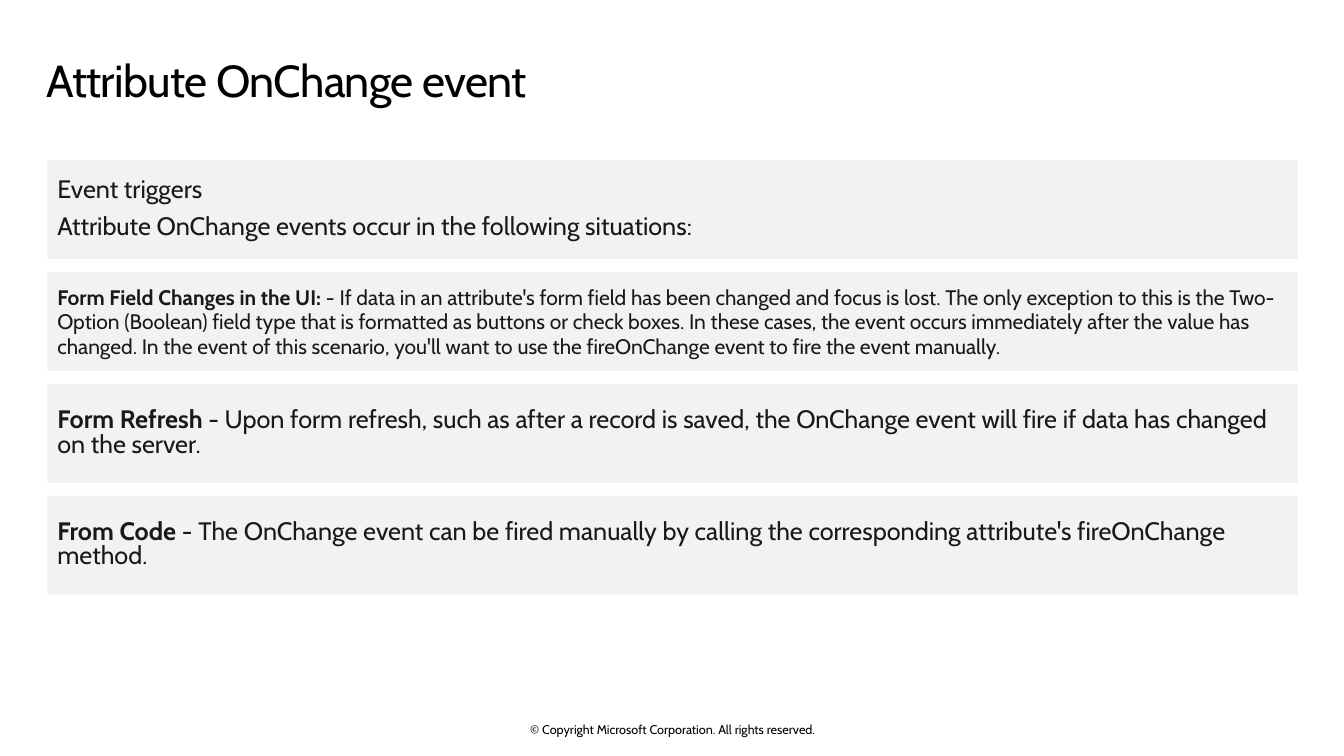
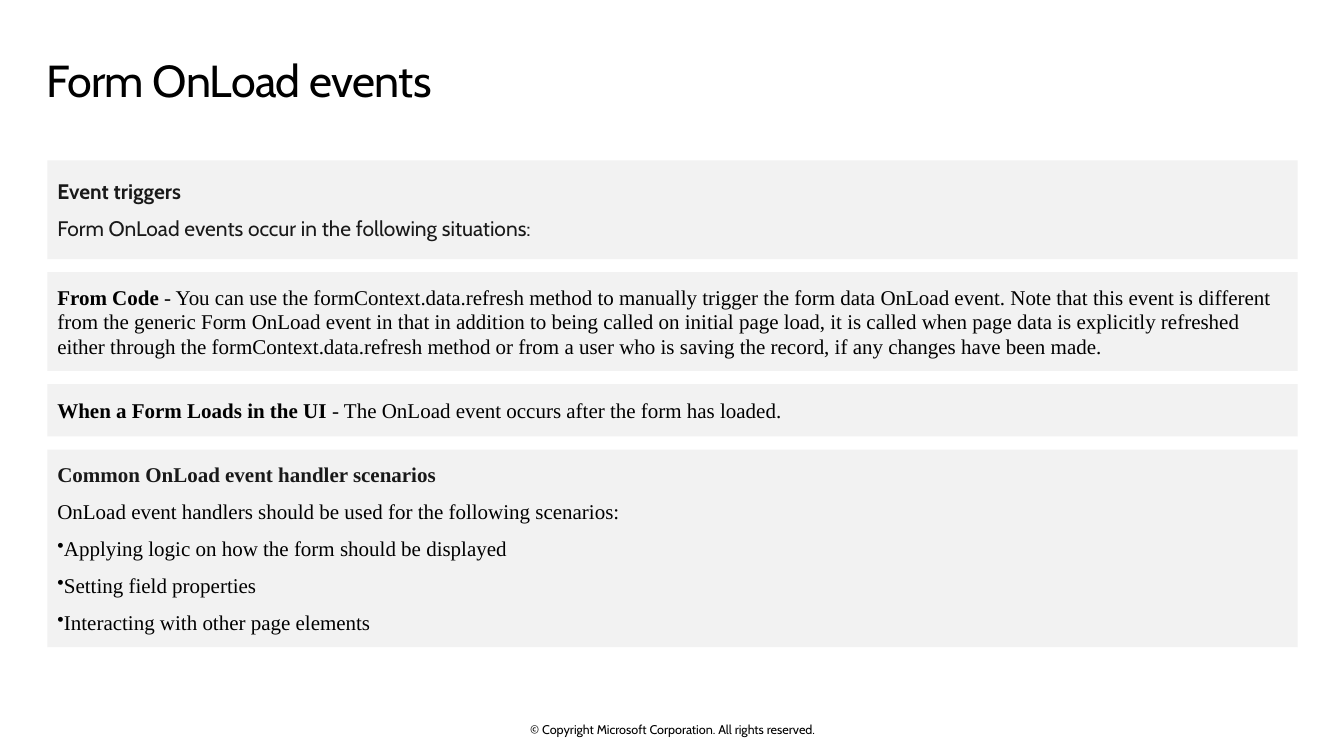
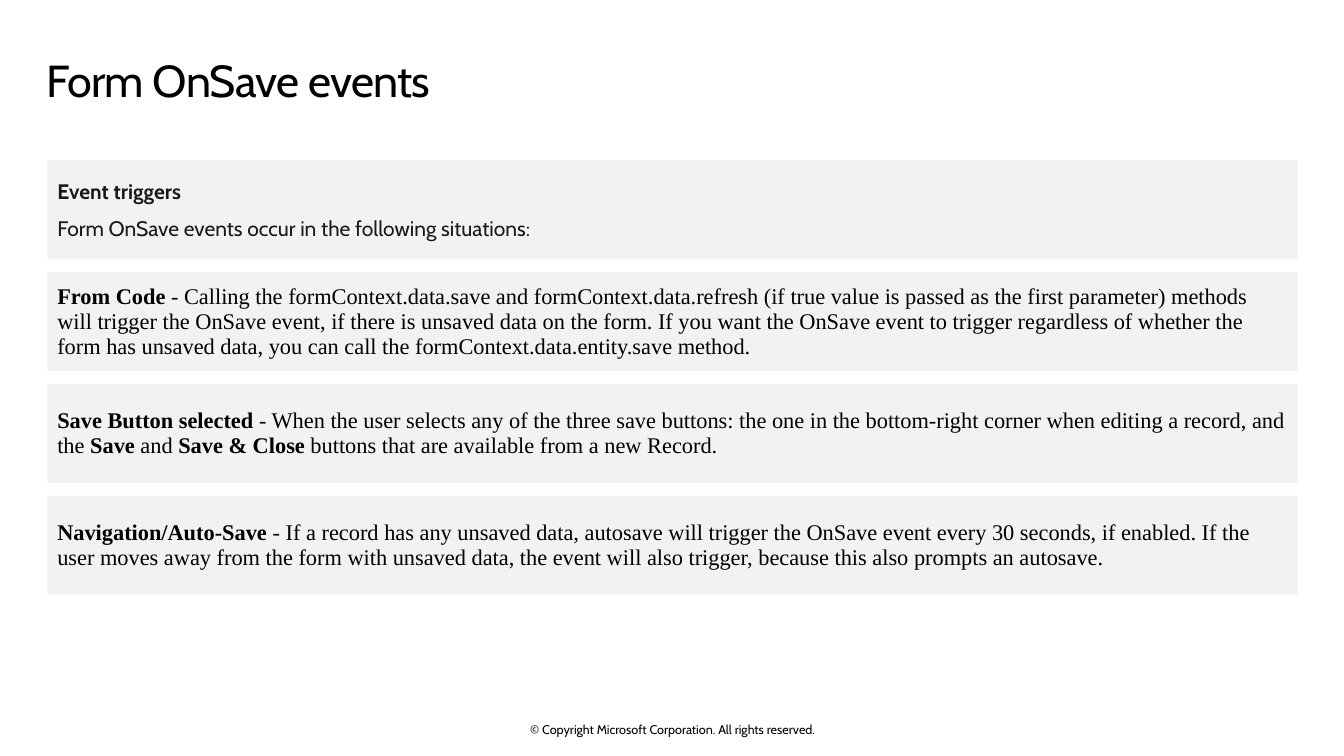
from lxml.etree import SubElement
from pptx import Presentation
from pptx.dml.color import RGBColor
from pptx.enum.shapes import MSO_SHAPE
from pptx.enum.text import MSO_ANCHOR, PP_ALIGN
from pptx.oxml.ns import qn
from pptx.util import Inches, Pt

BLACK = RGBColor(0x00, 0x00, 0x00)
CHARCOAL = RGBColor(0x19, 0x19, 0x19)
PANEL_GREY = RGBColor(0xF2, 0xF2, 0xF2)
SANS, SERIF = "Cabin", "Times New Roman"

TITLE = {"name": SANS, "size": Pt(32), "color": BLACK}
FOOTER = {"name": SANS, "size": Pt(9), "color": BLACK}
SANS_LARGE = {"name": SANS, "size": Pt(18), "color": CHARCOAL}
SANS_SMALL = {"name": SANS, "size": Pt(15), "color": CHARCOAL}
SERIF_SMALL = {"name": SERIF, "size": Pt(15), "color": BLACK}
SERIF_LARGE = {"name": SERIF, "size": Pt(16), "color": BLACK}
SERIF_HEADING = {**SERIF_SMALL, "color": CHARCOAL}

COPYRIGHT = "© Copyright Microsoft Corporation. All rights reserved."
PANEL_LEFT, PANEL_TOP, PANEL_WIDTH, PANEL_GAP = 0.47, 1.59, 12.4, 0.13
PANEL_HEIGHT, ONE_LINE_HEIGHT, LIST_HEIGHT = 0.98, 0.52, 1.96
BULLET = "• "

# Each slide: title, then panels of (height, [(style, text), ...]).
# Text between ** marks is bold; a leading bullet makes a list item.
SLIDES = [
    ("Attribute OnChange event", [
        (PANEL_HEIGHT, [
            (SANS_LARGE, "Event triggers"),
            (SANS_LARGE, "Attribute OnChange events occur in the following situations:"),
        ]),
        (PANEL_HEIGHT, [
            (SANS_SMALL, "**Form Field Changes in the UI:** - If data in an attribute's form "
             "field has been changed and focus is lost. The only exception to this is the "
             "Two-Option (Boolean) field type that is formatted as buttons or check boxes. "
             "In these cases, the event occurs immediately after the value has changed. "
             "In the event of this scenario, you'll want to use the fireOnChange event to "
             "fire the event manually."),
        ]),
        (PANEL_HEIGHT, [
            (SANS_LARGE, "**Form Refresh** - Upon form refresh, such as after a record is "
             "saved, the OnChange event will fire if data has changed on the server."),
        ]),
        (PANEL_HEIGHT, [
            (SANS_LARGE, "**From Code** - The OnChange event can be fired manually by calling "
             "the corresponding attribute's fireOnChange method."),
        ]),
    ]),
    ("Form OnLoad events", [
        (PANEL_HEIGHT, [
            (SANS_SMALL, "**Event triggers**"),
            (SANS_SMALL, "Form OnLoad events occur in the following situations:"),
        ]),
        (PANEL_HEIGHT, [
            (SERIF_SMALL, "**From Code** - You can use the formContext.data.refresh method to "
             "manually trigger the form data OnLoad event. Note that this event is different "
             "from the generic Form OnLoad event in that in addition to being called on "
             "initial page load, it is called when page data is explicitly refreshed either "
             "through the formContext.data.refresh method or from a user who is saving the "
             "record, if any changes have been made."),
        ]),
        (ONE_LINE_HEIGHT, [
            (SERIF_SMALL, "**When a Form Loads in the UI** - The OnLoad event occurs after "
             "the form has loaded."),
        ]),
        (LIST_HEIGHT, [
            (SERIF_HEADING, "**Common OnLoad event handler scenarios**"),
            (SERIF_SMALL, "OnLoad event handlers should be used for the following scenarios:"),
            (SERIF_SMALL, "• Applying logic on how the form should be displayed"),
            (SERIF_SMALL, "• Setting field properties"),
            (SERIF_SMALL, "• Interacting with other page elements"),
        ]),
    ]),
    ("Form OnSave events", [
        (PANEL_HEIGHT, [
            (SANS_SMALL, "**Event triggers**"),
            (SANS_SMALL, "Form OnSave events occur in the following situations:"),
        ]),
        (PANEL_HEIGHT, [
            (SERIF_LARGE, "**From Code** - Calling the formContext.data.save and "
             "formContext.data.refresh (if true value is passed as the first parameter) "
             "methods will trigger the OnSave event, if there is unsaved data on the form. "
             "If you want the OnSave event to trigger regardless of whether the form has "
             "unsaved data, you can call the formContext.data.entity.save method."),
        ]),
        (PANEL_HEIGHT, [
            (SERIF_LARGE, "**Save Button selected** - When the user selects any of the three "
             "save buttons: the one in the bottom-right corner when editing a record, and "
             "the **Save** and **Save & Close** buttons that are available from a new Record."),
        ]),
        (PANEL_HEIGHT, [
            (SERIF_LARGE, "**Navigation/Auto-Save** - If a record has any unsaved data, "
             "autosave will trigger the OnSave event every 30 seconds, if enabled. If the "
             "user moves away from the form with unsaved data, the event will also trigger, "
             "because this also prompts an autosave."),
        ]),
    ]),
]


def set_frame(frame, anchor, left, top, right, bottom):
    frame.word_wrap = True
    frame.vertical_anchor = anchor
    frame.margin_left, frame.margin_top = Inches(left), Inches(top)
    frame.margin_right, frame.margin_bottom = Inches(right), Inches(bottom)


def add_span(para, text, style, bold=False):
    span = para.add_run()
    span.text = text
    span.font.bold = bold
    for name, value in style.items():
        if name == "color":
            span.font.color.rgb = value
        else:
            setattr(span.font, name, value)
    return span


def add_bullet(para):
    properties = para._p.get_or_add_pPr()
    properties.set("marL", "0")
    properties.set("indent", "0")
    SubElement(properties, qn("a:buSzPct"), val="90000")
    SubElement(properties, qn("a:buChar"), char=BULLET.strip())


def add_title(page, text):
    box = page.shapes.add_textbox(Inches(0.46), Inches(0.48), Inches(12.4), Inches(0.74))
    set_frame(box.text_frame, MSO_ANCHOR.TOP, 0, 0.1, 0.16, 0.1)
    para = box.text_frame.paragraphs[0]
    para.line_spacing = 0.9
    span = add_span(para, text, TITLE)
    span._r.get_or_add_rPr().set("spc", "-50")


def add_footer(page):
    box = page.shapes.add_textbox(Inches(4.42), Inches(7.16), Inches(4.5), Inches(0.15))
    set_frame(box.text_frame, MSO_ANCHOR.MIDDLE, 0, 0, 0, 0)
    para = box.text_frame.paragraphs[0]
    para.alignment = PP_ALIGN.CENTER
    add_span(para, COPYRIGHT, FOOTER)


def add_panel(page, top, height, lines):
    panel = page.shapes.add_shape(
        MSO_SHAPE.RECTANGLE, Inches(PANEL_LEFT), Inches(top),
        Inches(PANEL_WIDTH), Inches(height))
    panel.shadow.inherit = False
    panel.fill.solid()
    panel.fill.fore_color.rgb = PANEL_GREY
    panel.line.fill.background()
    frame = panel.text_frame
    set_frame(frame, MSO_ANCHOR.MIDDLE, 0.1, 0.1, 0.1, 0.1)
    for index, (style, text) in enumerate(lines):
        para = frame.add_paragraph() if index else frame.paragraphs[0]
        para.alignment = PP_ALIGN.LEFT
        para.line_spacing = Pt(17.6)
        para.space_before = Pt(8.8 if index else 0)
        if text.startswith(BULLET):
            add_bullet(para)
        for part, words in enumerate(text.removeprefix(BULLET).split("**")):
            if words:
                add_span(para, words, style, bold=part % 2 == 1)


def main():
    deck = Presentation()
    deck.slide_width, deck.slide_height = Inches(13.33), Inches(7.5)
    for title, panels in SLIDES:
        page = deck.slides.add_slide(deck.slide_layouts[6])
        add_footer(page)
        add_title(page, title)
        top = PANEL_TOP
        for height, lines in panels:
            add_panel(page, top, height, lines)
            top += height + PANEL_GAP
    deck.save("out.pptx")


if __name__ == "__main__":
    main()
